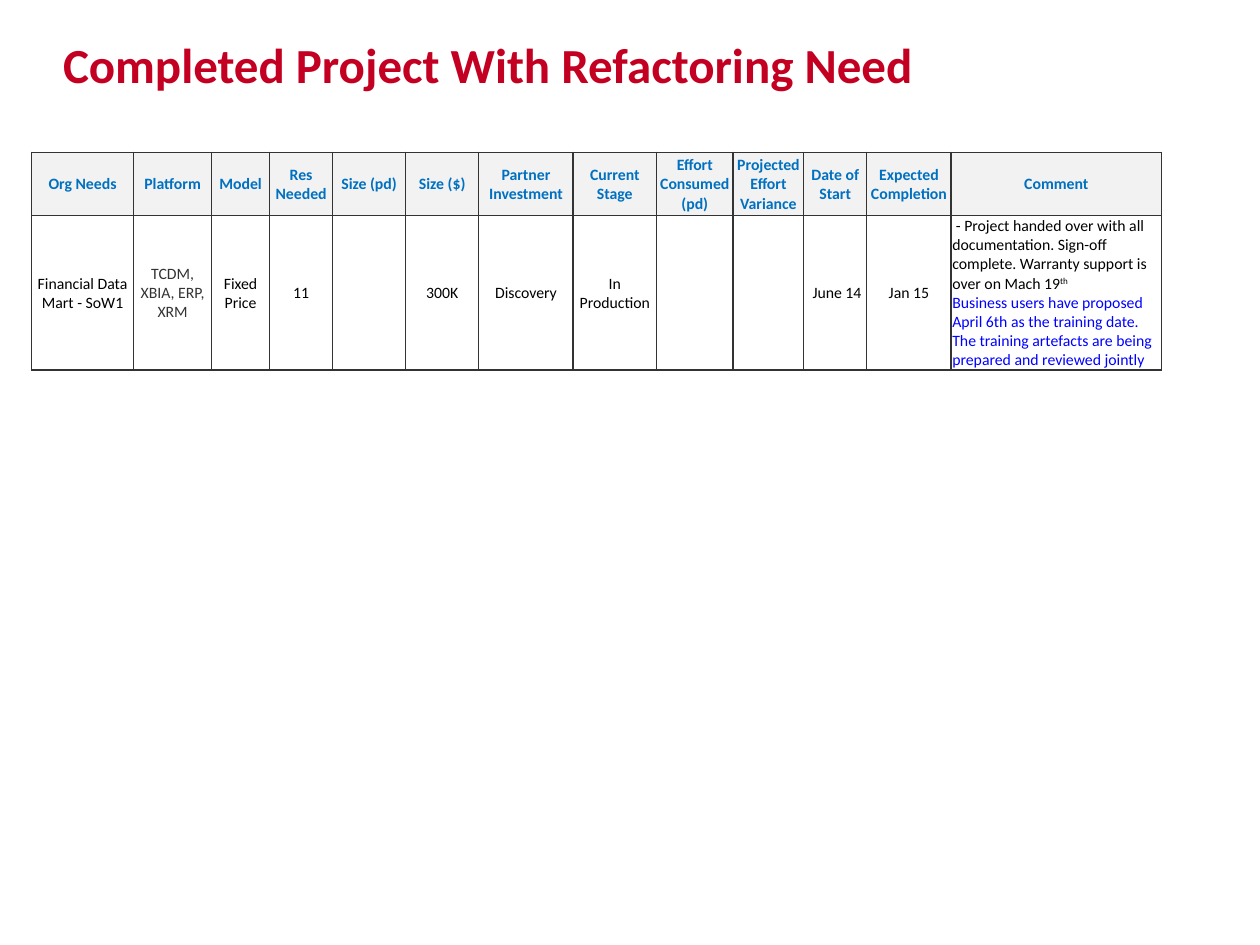
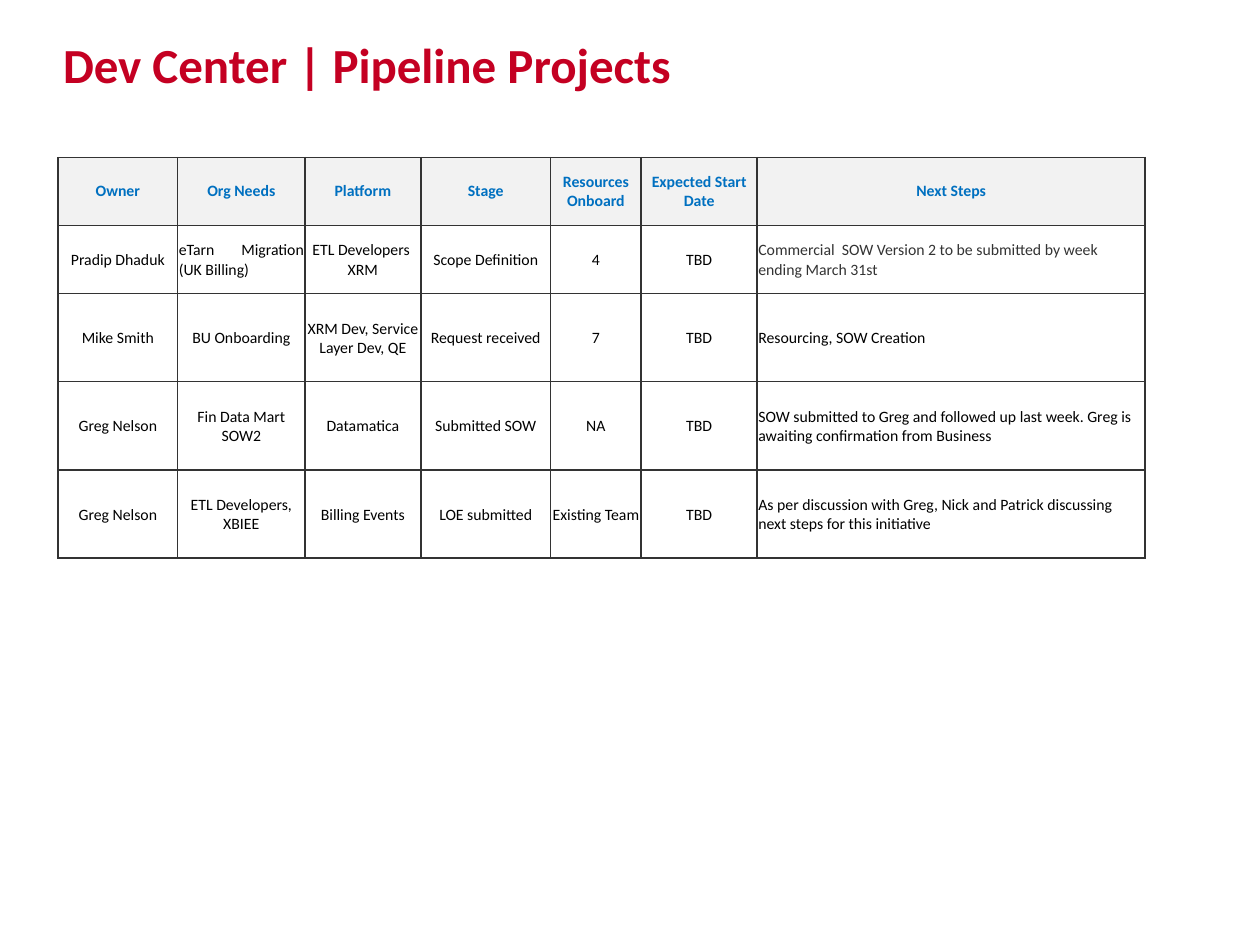
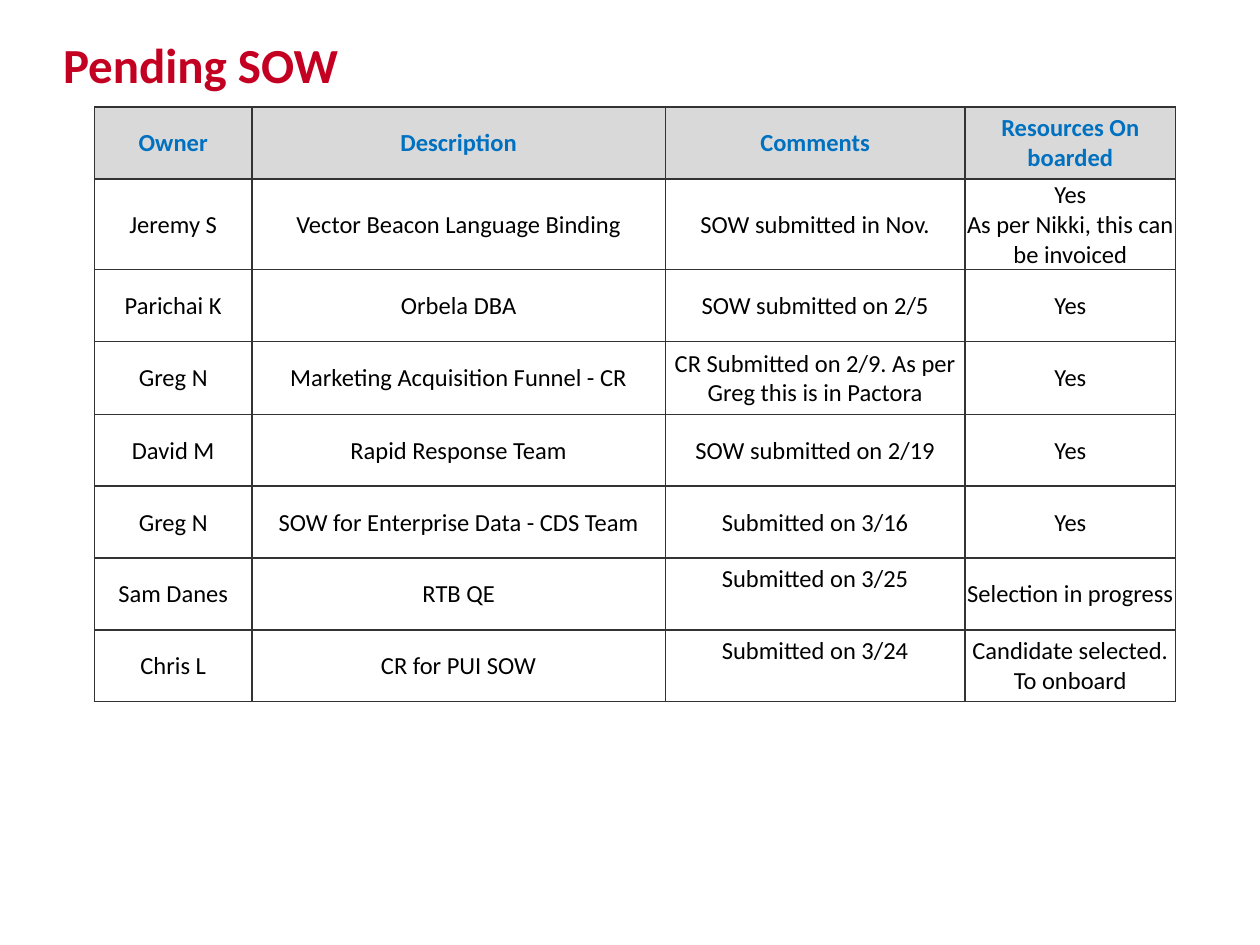
"""Build three project status slides, each a title over a bordered table."""
import pptx
import pptx.util
import pptx.dml.color
import pptx.enum.text
import pptx.oxml.ns
import lxml.etree

Inches, Pt = pptx.util.Inches, pptx.util.Pt
ALIGN = pptx.enum.text.PP_ALIGN
MIDDLE = pptx.enum.text.MSO_ANCHOR.MIDDLE
FONT = "Calibri"
HUES = {"title": "C40022", "head": "0070C0", "body": "000000", "soft": "333333",
        "news": "0000FF", "line": "333333", "pale": "F2F2F2", "grey": "D9D9D9",
        "white": "FFFFFF"}
TIGHT = (0.01, 0.01, 0.01, 0)
FLUSH = (0, 0, 0, 0)
STEP = {"align": ALIGN.LEFT, "inset": (0.01, 0.01, 0.02, 0)}

NOTE = [
    [(" - Project handed over with all documentation. Sign-off complete. "
      "Warranty support is over on Mach 19", {}), ("th", {"base": "30000"})],
    [("Business users have proposed April 6th as the training date. The training "
      "artefacts are being prepared and reviewed jointly", {"hue": "news"})],
]

SLIDES = [
    {
        "title": "Completed Project With Refactoring Need",
        "at": (0.25, 1.21), "size": 9, "band": "pale", "fill": None, "inset": TIGHT,
        "cols": [0.81, 0.62, 0.46, 0.5, 0.58, 0.58, 0.75, 0.66, 0.61, 0.56, 0.5,
                 0.67, 1.67],
        "rows": [0.5, 0.82],
        "cells": [
            ["Org Needs", "Platform", "Model", "Res Needed", "Size (pd)", "Size ($)",
             "Partner Investment", "Current Stage", "Effort Consumed\n(pd)",
             "Projected Effort Variance", "Date of Start", "Expected Completion",
             "Comment"],
            ["Financial Data Mart - SoW1", "TCDM, XBIA, ERP, XRM", "Fixed Price", "11",
             "", "300K", "Discovery", "In Production", "", "", " June 14", "Jan 15",
             NOTE],
        ],
        "looks": {(1, 1): {"hue": "soft"}, (1, 12): {"align": ALIGN.LEFT}},
    },
    {
        "title": "Dev Center | Pipeline Projects",
        "at": (0.46, 1.25), "size": 9, "band": "pale", "fill": "white", "inset": FLUSH,
        "cols": [0.95, 1.01, 0.92, 1.03, 0.72, 0.92, 3.08],
        "rows": [0.54, 0.54, 0.7, 0.7, 0.7],
        "cells": [
            ["Owner", "Org Needs", "Platform", "Stage", "Resources Onboard",
             "Expected Start Date", "Next Steps"],
            ["Pradip Dhaduk", "eTarn Migration (UK Billing)",
             ["ETL Developers ", "XRM"], "Scope Definition", "4", "TBD",
             "Commercial  SOW Version 2 to be submitted by week ending March 31st"],
            ["Mike Smith", "BU Onboarding", "XRM Dev, Service Layer Dev, QE",
             "Request received", "7", "TBD", "Resourcing, SOW Creation"],
            ["Greg Nelson", "Fin Data Mart SOW2", "Datamatica", "Submitted SOW", "NA",
             "TBD", "SOW submitted to Greg and followed up last week. Greg is "
             "awaiting confirmation from Business"],
            ["Greg Nelson", "ETL Developers, XBIEE", "Billing Events", "LOE submitted",
             "Existing Team", "TBD", "As per discussion with Greg, Nick and Patrick "
             "discussing next steps for this initiative"],
        ],
        "looks": {(1, 1): {"align": ALIGN.JUSTIFY},
                  (1, 6): {**STEP, "hue": "soft"},
                  **{(row, 6): STEP for row in (2, 3, 4)}},
    },
    {
        "title": "Pending SOW",
        "at": (0.75, 0.85), "size": 14, "band": "grey", "fill": None, "inset": FLUSH,
        "cols": [1.25, 3.28, 2.38, 1.67],
        "rows": [0.57, 0.57, 0.57, 0.58, 0.57, 0.57, 0.57, 0.57],
        "cells": [
            ["Owner", "Description", "Comments", "Resources On boarded"],
            ["Jeremy S", "Vector Beacon Language Binding", "SOW submitted in Nov.",
             ["Yes", "As per Nikki, this can be invoiced"]],
            ["Parichai K", "Orbela DBA", "SOW submitted on 2/5", "Yes"],
            ["Greg N", "Marketing Acquisition Funnel - CR",
             "CR Submitted on 2/9. As per Greg this is in Pactora", "Yes"],
            ["David M", "Rapid Response Team", "SOW submitted on 2/19", "Yes"],
            ["Greg N", "SOW for Enterprise Data - CDS Team", "Submitted on 3/16", "Yes"],
            ["Sam Danes", "RTB QE", "Submitted on 3/25", "Selection in progress"],
            ["Chris L", "CR for PUI SOW", "Submitted on 3/24",
             "Candidate selected. To onboard"],
        ],
        "looks": {(row, 2): {"inset": (0.01, 0.01, 0.01, 0.24)} for row in (6, 7)},
    },
]


def color(name):
    return pptx.dml.color.RGBColor.from_string(HUES[name])


def add_run(para, text, size, hue, bold, base=None):
    for num, part in enumerate(text.split("\n")):
        if num:
            para.add_line_break()
        run = para.add_run()
        run.text = part
        font = run.font
        font.name, font.size, font.bold = FONT, Pt(size), bold
        font.color.rgb = color(hue)
        if base:
            font._element.set("baseline", base)


def add_title(slide, text):
    shape = slide.shapes.title
    shape.left, shape.top = Inches(0.5), Inches(0.25)
    shape.width, shape.height = Inches(9), Inches(0.5)
    frame = shape.text_frame
    frame.margin_left = frame.margin_top = frame.margin_right = frame.margin_bottom = 0
    frame.vertical_anchor = pptx.enum.text.MSO_ANCHOR.BOTTOM
    frame.auto_size = pptx.enum.text.MSO_AUTO_SIZE.NONE
    para = frame.paragraphs[0]
    para.alignment, para.line_spacing = ALIGN.LEFT, 0.9
    add_run(para, text, 28, "title", True)


def add_edges(cell):
    props = cell._tc.get_or_add_tcPr()
    name = pptx.oxml.ns.qn
    for side in ("a:lnL", "a:lnR", "a:lnT", "a:lnB"):
        line = lxml.etree.SubElement(props, name(side), w=str(Pt(1)))
        fill = lxml.etree.SubElement(line, name("a:solidFill"))
        lxml.etree.SubElement(fill, name("a:srgbClr"), val=HUES["line"])


def fill_cell(cell, data, size, look):
    add_edges(cell)
    if look["fill"]:
        cell.fill.solid()
        cell.fill.fore_color.rgb = color(look["fill"])
    else:
        cell.fill.background()
    cell.vertical_anchor = MIDDLE
    (cell.margin_left, cell.margin_top,
     cell.margin_right, cell.margin_bottom) = map(Inches, look["inset"])
    if not data:
        return
    frame = cell.text_frame
    for num, runs in enumerate([data] if isinstance(data, str) else data):
        para = frame.add_paragraph() if num else frame.paragraphs[0]
        para.alignment = look["align"]
        for text, style in [(runs, {})] if isinstance(runs, str) else runs:
            add_run(para, text, size, style.get("hue", look["hue"]), look["bold"],
                    style.get("base"))


def add_grid(slide, page):
    cols, rows = page["cols"], page["rows"]
    box = (*page["at"], sum(cols), sum(rows))
    table = slide.shapes.add_table(len(rows), len(cols), *map(Inches, box)).table
    table.first_row = table.horz_banding = False
    for col, width in zip(table.columns, cols):
        col.width = Inches(width)
    for row, height in zip(table.rows, rows):
        row.height = Inches(height)
    head = {"fill": page["band"], "hue": "head", "bold": True, "inset": page["inset"]}
    body = {"fill": page["fill"], "hue": "body", "bold": False, "inset": TIGHT}
    for y, line in enumerate(page["cells"]):
        for x, data in enumerate(line):
            look = {"align": ALIGN.CENTER, **(body if y else head),
                    **page["looks"].get((y, x), {})}
            fill_cell(table.cell(y, x), data, page["size"], look)


def main():
    deck = pptx.Presentation()
    deck.slide_width, deck.slide_height = Inches(10), Inches(7.5)
    for page in SLIDES:
        slide = deck.slides.add_slide(deck.slide_layouts[5])
        add_title(slide, page["title"])
        add_grid(slide, page)
    deck.save("out.pptx")


if __name__ == "__main__":
    main()
